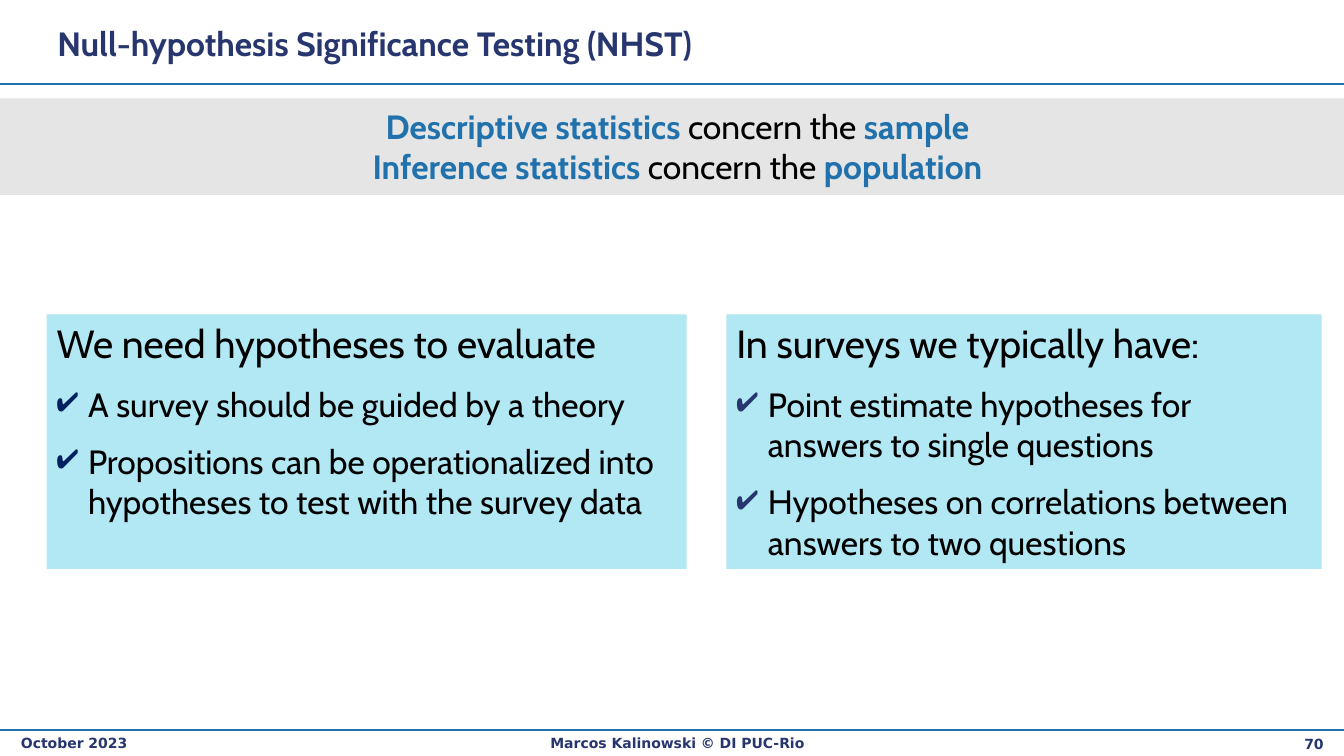
import pptx
import pptx.util
import pptx.dml.color
import pptx.enum.shapes
import pptx.enum.text
import pptx.oxml
import pptx.oxml.ns

Pt = pptx.util.Pt
ALIGN = pptx.enum.text.PP_ALIGN
ANCHOR = pptx.enum.text.MSO_ANCHOR
NAVY, BLUE, BLACK = "27366E", "2172AC", "000000"
GREY, AQUA = "E5E5E5", "B2E7F4"
WIDE, HIGH = 960, 540
HEAD = dict(name="Cabin", size=Pt(24), bold=True)
BODY = dict(name="Cabin", size=Pt(24), bold=False)
LARGE = dict(name="Cabin", size=Pt(28), bold=False)
SMALL = dict(name="DejaVu Sans", size=Pt(10), bold=True)


def paint(part, color):
    """Set a solid colour on a fill or a font colour."""
    target = part
    if hasattr(part, "solid"):
        part.solid()
        target = part.fore_color
    target.rgb = pptx.dml.color.RGBColor.from_string(color)


def write(para, text, look, color):
    run = para.add_run()
    run.text = text
    for key, value in look.items():
        setattr(run.font, key, value)
    paint(run.font.color, color)


def frame(shape, anchor=ANCHOR.TOP):
    """Prepare the text frame of a shape and return it."""
    text = shape.text_frame
    form = dict(word_wrap=True, vertical_anchor=anchor,
                margin_left=Pt(7.2), margin_right=Pt(7.2),
                margin_top=Pt(3.6), margin_bottom=Pt(3.6))
    for key, value in form.items():
        setattr(text, key, value)
    return text


def label(slide, box, text, look, align=ALIGN.LEFT, anchor=ANCHOR.TOP):
    area = frame(slide.shapes.add_textbox(*map(Pt, box)), anchor)
    para = area.paragraphs[0]
    para.alignment = align
    write(para, text, look, NAVY)


def panel(slide, box, color):
    kind = pptx.enum.shapes.MSO_SHAPE.RECTANGLE
    shape = slide.shapes.add_shape(kind, *map(Pt, box))
    shape.shadow.inherit = False
    paint(shape.fill, color)
    shape.line.fill.background()
    return shape


def rule(slide, y):
    """Draw a line across the slide."""
    kind = pptx.enum.shapes.MSO_CONNECTOR.STRAIGHT
    line = slide.shapes.add_connector(kind, 0, Pt(y), Pt(WIDE), Pt(y))
    paint(line.line.fill, BLUE)
    line.line.width = Pt(1)
    props = line._element.spPr
    props.append(props.makeelement(pptx.oxml.ns.qn("a:effectLst"), {}))


def header(slide, box):
    x, y, w, h = box
    label(slide, (x + 33.84, y + 8.64, w - 130, 44.64),
          "Null-hypothesis Significance Testing (NHST)", HEAD,
          anchor=ANCHOR.MIDDLE)
    rule(slide, y + h)


def banner(slide, box, rows):
    """Grey strip with a centred line for each (topic, target) pair."""
    x, y, w, h = box
    panel(slide, box, GREY)
    spot = (x + 38.16, y + 1.44, 891.36, h - 3.6)
    text = frame(slide.shapes.add_textbox(*map(Pt, spot)))
    for i, (topic, target) in enumerate(rows):
        para = text.add_paragraph() if i else text.paragraphs[0]
        para.alignment = ALIGN.CENTER
        write(para, topic, HEAD, BLUE)
        write(para, " concern the ", BODY, BLACK)
        write(para, target, HEAD, BLUE)


def tick(para, color):
    """Give a paragraph a hanging check mark."""
    props = para._p.get_or_add_pPr()
    props.set("marL", str(Pt(22.5)))
    props.set("indent", str(-Pt(22.5)))
    space = pptx.oxml.ns.nsdecls("a")
    for xml in (f'<a:buClr {space}><a:srgbClr val="{color}"/></a:buClr>',
                f'<a:buChar {space} char="✔"/>'):
        props.append(pptx.oxml.parse_xml(xml))


def card(slide, box, title, points, mark):
    text = frame(panel(slide, box, AQUA))
    first = text.paragraphs[0]
    first.alignment = ALIGN.LEFT
    write(first, title, LARGE, BLACK)
    for point in points:
        para = text.add_paragraph()
        tick(para, mark)
        para.alignment = ALIGN.LEFT
        para.space_before = Pt(12.15)
        write(para, point, BODY, BLACK)


def footer(slide, box):
    x, y, w, h = box
    rule(slide, y)
    label(slide, (x + 7.92, y, 198.72, h), "October 2023", SMALL)
    label(slide, (x + 175.68, y, 616.32, h),
          "Marcos Kalinowski © DI PUC-Rio", SMALL, ALIGN.CENTER)
    label(slide, (x + w - 116.9, y + 0.7, 109.44, h), "70", SMALL,
          ALIGN.RIGHT)


def main():
    deck = pptx.Presentation()
    deck.slide_width, deck.slide_height = Pt(WIDE), Pt(HIGH)
    slide = deck.slides.add_slide(deck.slide_layouts[6])
    header(slide, (0, 0, WIDE, 60))
    banner(slide, (0, 70.3, WIDE, 69),
           [("Descriptive statistics", "sample"),
            ("Inference statistics", "population")])
    card(slide, (33.3, 224.6, 457.2, 181.8),
         "We need hypotheses to evaluate",
         ["A survey should be guided by a theory",
          "Propositions can be operationalized into hypotheses to test "
          "with the survey data"], "002060")
    card(slide, (518.9, 224.6, 425.2, 181.8),
         "In surveys we typically have:",
         ["Point estimate hypotheses for answers to single questions",
          "Hypotheses on correlations between answers to two questions"],
         NAVY)
    footer(slide, (0, 521.3, WIDE, 18))
    deck.save("out.pptx")


if __name__ == "__main__":
    main()
